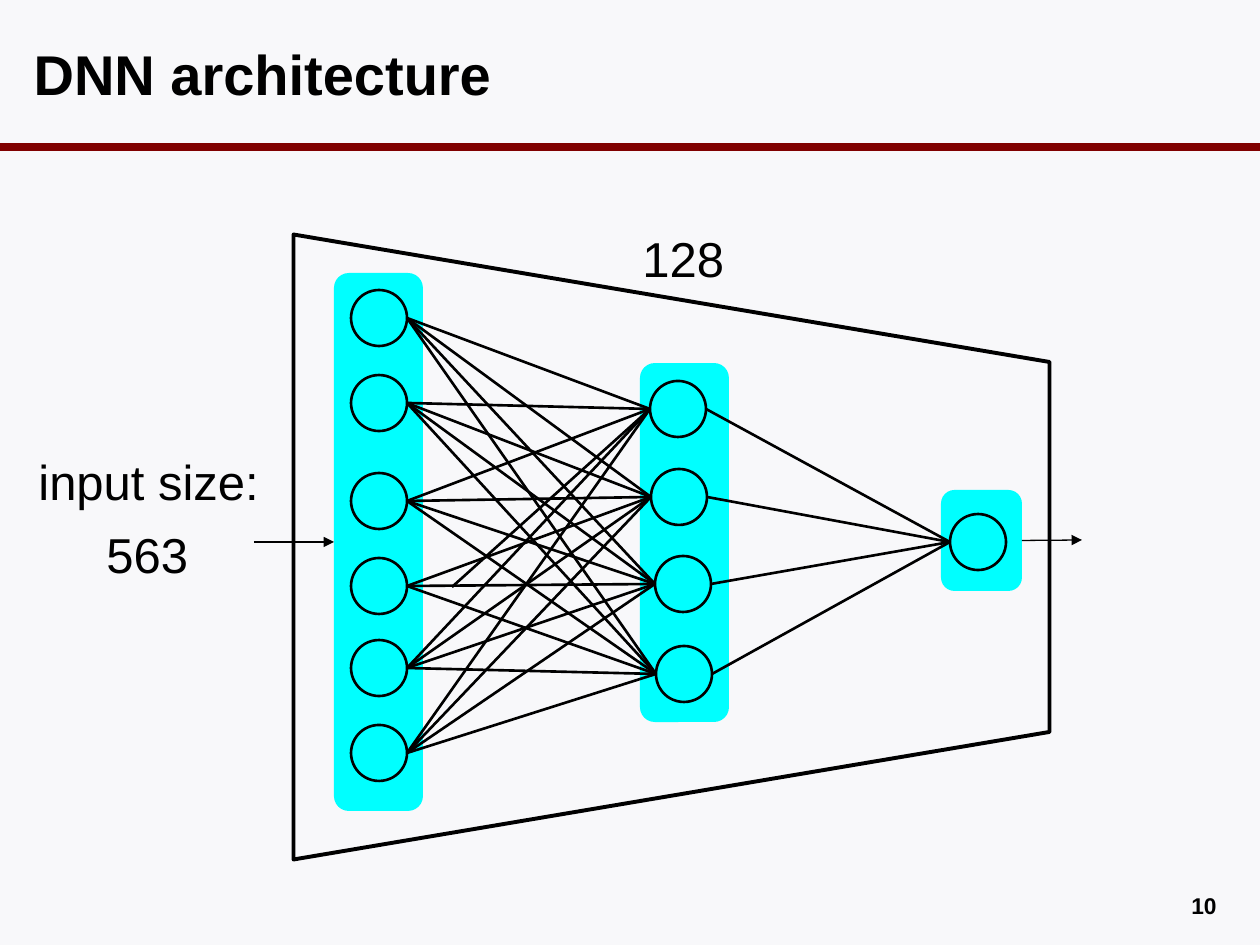
"""Build a slide showing a dense neural network with one hidden layer."""
from itertools import product

from lxml import etree
from pptx import Presentation
from pptx.dml.color import RGBColor
from pptx.enum.shapes import MSO_CONNECTOR, MSO_SHAPE
from pptx.enum.text import MSO_ANCHOR, MSO_AUTO_SIZE, PP_ALIGN
from pptx.oxml.ns import qn
from pptx.util import Emu, Pt

STRAIGHT = MSO_CONNECTOR.STRAIGHT
ROUNDED, OVAL, TRAPEZOID = MSO_SHAPE.ROUNDED_RECTANGLE, MSO_SHAPE.OVAL, MSO_SHAPE.TRAPEZOID
LEFT, RIGHT = PP_ALIGN.LEFT, PP_ALIGN.RIGHT
LEFT_SIDE, RIGHT_SIDE = 1, 3
EMU_PER_PX = 914400 / 126
COLORS = {"background": "F8F8FA", "ink": "000000", "rule": "800000", "layer": "00FFFF"}
FONT = "Arial"
NODE = 56
RADIUS = NODE // 2
INPUT_NODES = [(351, top) for top in (290, 375, 473, 558, 640, 725)]
HIDDEN_NODES = [(650, 381), (651, 469), (655, 556), (656, 646)]
OUTPUT_NODE = (950, 514)
SHORT_LINK = (INPUT_NODES[3], HIDDEN_NODES[0])
SHORT_START = (452, 587)


def px(*lengths):
    return [Emu(round(length * EMU_PER_PX)) for length in lengths]


def rgb(name):
    return RGBColor.from_string(COLORS[name])


def write(shape, text, size=28, bold=False, align=LEFT, anchor=MSO_ANCHOR.TOP):
    frame = shape.text_frame
    frame.word_wrap = True
    frame.auto_size = MSO_AUTO_SIZE.NONE
    frame.vertical_anchor = anchor
    frame.text = text
    paragraph = frame.paragraphs[0]
    paragraph.alignment = align
    font = paragraph.runs[0].font
    font.name, font.size, font.bold = FONT, Pt(size), bold
    font.color.rgb = rgb("ink")


class NetworkSlide:
    def __init__(self, presentation):
        self.slide = presentation.slides.add_slide(presentation.slide_layouts[5])
        fill = self.slide.background.fill
        fill.solid()
        fill.fore_color.rgb = rgb("background")

    def title(self, text, box):
        shape = self.slide.shapes.title
        shape.left, shape.top, shape.width, shape.height = px(*box)
        write(shape, text, size=32, bold=True, anchor=MSO_ANCHOR.MIDDLE)

    def label(self, text, box, **style):
        write(self.slide.shapes.add_textbox(*px(*box)), text, **style)

    def shape(self, kind, box, fill=None, weight=None):
        shape = self.slide.shapes.add_shape(kind, *px(*box))
        shape.shadow.inherit = False
        if fill:
            shape.fill.solid()
            shape.fill.fore_color.rgb = rgb(fill)
        else:
            shape.fill.background()
        if weight:
            shape.line.color.rgb = rgb("ink")
            shape.line.width = Pt(weight)
        else:
            shape.line.fill.background()
        return shape

    def node(self, position):
        self.shape(OVAL, (*position, NODE, NODE), weight=1.5)

    def line(self, start, end, weight=1.5, color="ink", arrow=False):
        connector = self.slide.shapes.add_connector(STRAIGHT, *px(*start, *end))
        connector.line.color.rgb = rgb(color)
        connector.line.width = Pt(weight)
        if arrow:
            outline = connector.line._get_or_add_ln()
            etree.SubElement(outline, qn("a:tailEnd"), type="triangle")
        etree.SubElement(connector._element.spPr, qn("a:effectLst"))
        return connector

    def link(self, source, target):
        start = (source[0] + NODE, source[1] + RADIUS)
        if (source, target) == SHORT_LINK:
            start = SHORT_START
        self.line(start, (target[0], target[1] + RADIUS))


def main():
    presentation = Presentation()
    presentation.slide_width, presentation.slide_height = px(1260, 945)
    page = NetworkSlide(presentation)
    page.line((0, 147), (1260, 147), weight=4.5, color="rule")
    page.title("DNN architecture", (21, 21, 1205, 105))
    page.label("10", (935, 886, 294, 34), size=13, bold=True, align=RIGHT)

    input_layer = page.shape(ROUNDED, (334, 273, 89, 538), fill="layer")
    page.shape(ROUNDED, (640, 363, 89, 359), fill="layer")
    output_layer = page.shape(ROUNDED, (941, 490, 81, 101), fill="layer")
    outline = page.shape(TRAPEZOID, (359, 169, 625, 756), weight=2.25)
    outline.rotation = 90
    outline.adjustments[0] = 0.204

    for position in [*INPUT_NODES, *HIDDEN_NODES, OUTPUT_NODE]:
        page.node(position)
    for source, target in product(INPUT_NODES, HIDDEN_NODES):
        page.link(source, target)
    for source in HIDDEN_NODES:
        page.link(source, OUTPUT_NODE)

    page.line((254, 542), (334, 542), weight=0.75, arrow=True).end_connect(input_layer, LEFT_SIDE)
    page.line((1022, 540), (1082, 540), weight=0.75, arrow=True).begin_connect(output_layer, RIGHT_SIDE)

    page.label("input size:", (26, 445, 256, 72))
    page.label("563", (94, 518, 110, 72))
    page.label("128", (630, 222, 110, 72))
    presentation.save("out.pptx")


if __name__ == "__main__":
    main()
